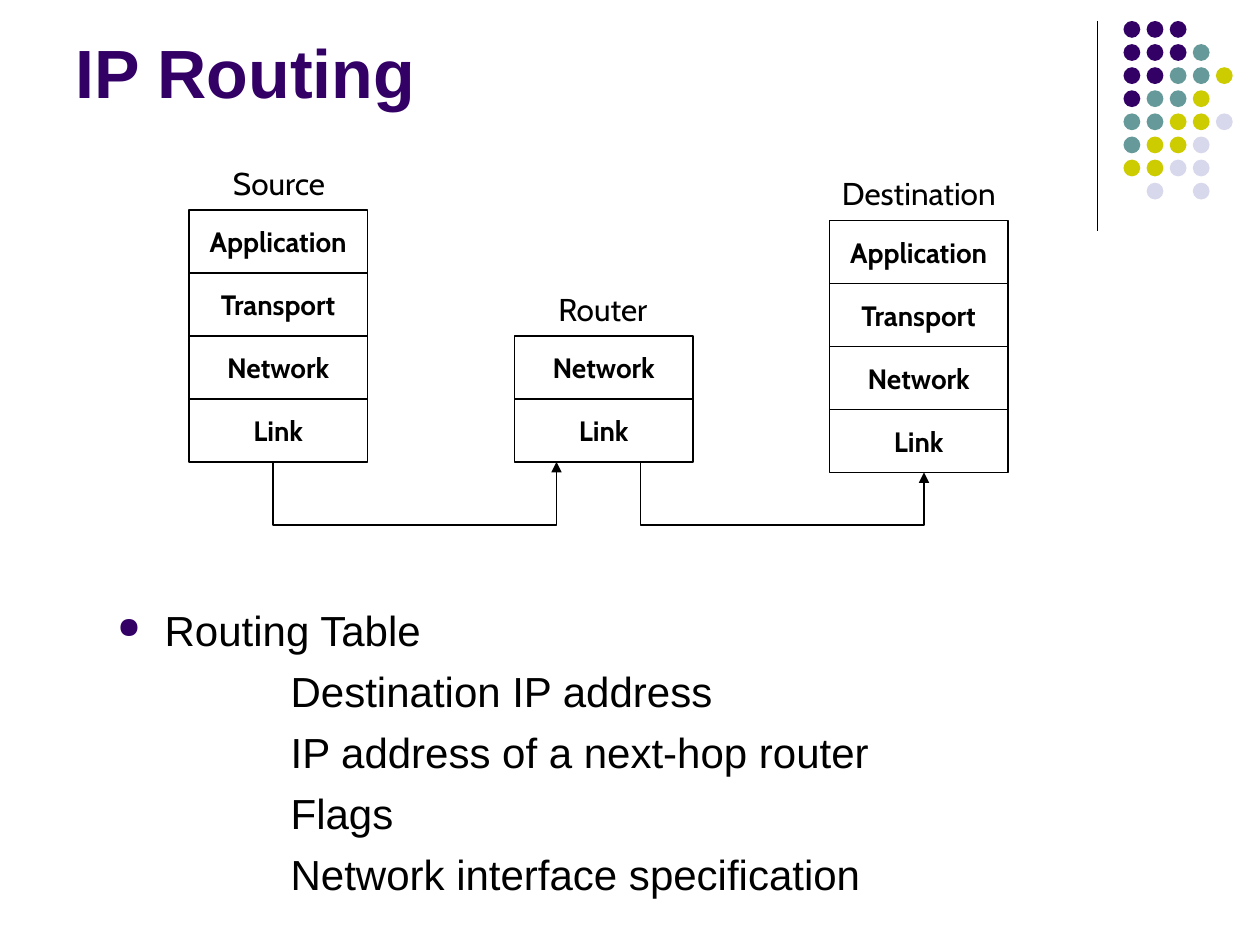
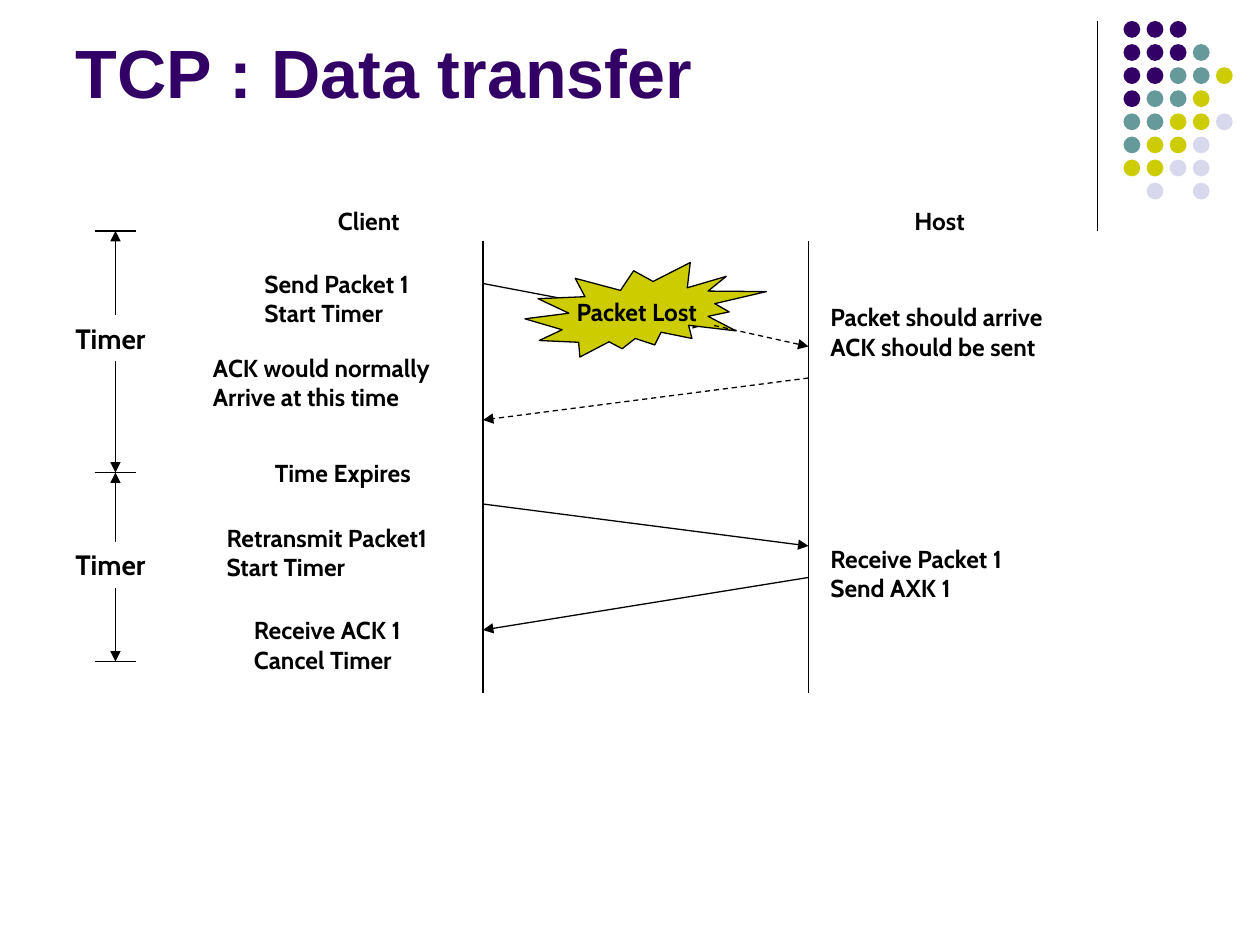
from typing import NamedTuple

from pptx import Presentation
from pptx.dml.color import RGBColor
from pptx.enum.dml import MSO_LINE
from pptx.enum.shapes import MSO_CONNECTOR, MSO_SHAPE
from pptx.enum.text import MSO_ANCHOR, PP_ALIGN
from pptx.oxml.ns import qn
from pptx.util import Pt
from lxml import etree

EMU_PER_PX = 7620  # 120 px to the inch
SLIDE_W, SLIDE_H = 1200, 900

BLACK = RGBColor(0x00, 0x00, 0x00)
WHITE = RGBColor(0xFF, 0xFF, 0xFF)
PURPLE = RGBColor(0x33, 0x00, 0x66)
TEAL = RGBColor(0x66, 0x99, 0x99)
OLIVE = RGBColor(0xCC, 0xCC, 0x00)
LAVENDER = RGBColor(0xD8, 0xD8, 0xEC)

HEADING_FONT = "Arial"
DIAGRAM_FONT = "Cabin"
LINE_WIDTH = Pt(0.75)

RECTANGLE, OVAL, BURST = MSO_SHAPE.RECTANGLE, MSO_SHAPE.OVAL, MSO_SHAPE.EXPLOSION2
STRAIGHT, DASH = MSO_CONNECTOR.STRAIGHT, MSO_LINE.DASH
LEFT, CENTER = PP_ALIGN.LEFT, PP_ALIGN.CENTER
TOP, MIDDLE = MSO_ANCHOR.TOP, MSO_ANCHOR.MIDDLE

DOT_COLOURS = {"P": PURPLE, "T": TEAL, "O": OLIVE, "L": LAVENDER}
DOT_ROWS = ("PPP", "PPPT", "PPTTO", "PTTO", "TTOOL", "TOOL", "OOLL", ".L.L")
DOT_PITCH, DOT_SIZE = 22, 16

LAYERS = ("Application", "Transport", "Network", "Link")
LAYER_W, LAYER_H = 170, 60


class Box(NamedTuple):
    left: int
    top: int
    width: int
    height: int


class Stack(NamedTuple):
    """A node of the route, with the protocol layers it runs."""
    node: str
    label: Box
    left: int
    top: int
    layers: tuple[str, ...]


class Event(NamedTuple):
    text: str
    box: Box


class Message(NamedTuple):
    start: tuple[int, int]
    end: tuple[int, int]
    dashed: bool = False


class Timer(NamedTuple):
    start: int
    end: int
    label_top: int


STACKS = (
    Stack("Source", Box(210, 150, 114, 48), 180, 200, LAYERS),
    Stack("Destination", Box(790, 160, 173, 48), 790, 210, LAYERS),
    Stack("Router", Box(520, 270, 113, 48), 490, 320, LAYERS[2:]),
)
HOPS = (
    ((260, 440), (260, 500), (530, 500), (530, 440)),
    ((610, 440), (610, 500), (880, 500), (880, 450)),
)
ROUTE_FIELDS = (
    "Destination IP address",
    "IP address of a next-hop router",
    "Flags",
    "Network interface specification",
)

CLIENT_X, HOST_X = 460, 770
EVENTS = (
    Event("Host", Box(859, 190, 78, 40)),
    Event("Client", Box(310, 190, 92, 40)),
    Event("Send Packet 1\nStart Timer", Box(240, 250, 191, 68)),
    Event("Retransmit Packet1\nStart Timer", Box(204, 492, 257, 68)),
    Event("Packet should arrive\nACK should be sent", Box(779, 282, 271, 68)),
    Event("ACK would normally\nArrive at this time", Box(191, 330, 262, 68)),
    Event("Receive Packet 1\nSend AXK 1", Box(779, 512, 223, 68)),
    Event("Time Expires", Box(250, 430, 175, 40)),
    Event("Receive ACK 1\nCancel Timer", Box(230, 580, 192, 68)),
)
LOST_PACKET = Message((CLIENT_X, 270), (670, 310))
LOST_PACKET_REST = Message((680, 310), (HOST_X, 330), dashed=True)
MESSAGES = (
    LOST_PACKET,
    Message((HOST_X, 360), (CLIENT_X, 400), dashed=True),
    Message((CLIENT_X, 480), (HOST_X, 520)),
    Message((HOST_X, 550), (CLIENT_X, 600)),
)
TIMERS = (Timer(220, 450, 300), Timer(450, 630, 516))


def px(length: int) -> int:
    return length * EMU_PER_PX


def write(shape, text: str, *, size: int, font: str = DIAGRAM_FONT,
          colour: RGBColor = BLACK, bold: bool = False, align=LEFT, anchor=TOP,
          wrap: bool = False, margin_top: int = 6, space_before: int = 0) -> None:
    """Fill a shape with text, one paragraph for each line."""
    frame = shape.text_frame
    frame.text = text
    frame.word_wrap = wrap
    frame.vertical_anchor = anchor
    frame.margin_top = px(margin_top)
    for index, paragraph in enumerate(frame.paragraphs):
        paragraph.alignment = align
        paragraph.space_before = Pt(space_before if index else 0)
        style = paragraph.runs[0].font
        style.name, style.size, style.bold = font, Pt(size), bold
        style.color.rgb = colour


def add_text(slide, box: Box, text: str, **text_format):
    textbox = slide.shapes.add_textbox(*map(px, box))
    write(textbox, text, **text_format)
    return textbox


def outline(line) -> None:
    line.color.rgb = BLACK
    line.width = LINE_WIDTH


def add_shape(slide, kind, box: Box, fill: RGBColor | None = None,
              outlined: bool = False):
    shape = slide.shapes.add_shape(kind, *map(px, box))
    shape.shadow.inherit = False
    if fill is None:
        shape.fill.background()
    else:
        shape.fill.solid()
        shape.fill.fore_color.rgb = fill
    if outlined:
        outline(shape.line)
    else:
        shape.line.fill.background()
    return shape


def add_arrowheads(shape, *ends: str) -> None:
    """Put triangles at the given ends, headEnd before tailEnd."""
    ln = shape.line._get_or_add_ln()
    for end in ends:
        etree.SubElement(ln, qn(f"a:{end}"), type="triangle")


def add_line(slide, start: tuple[int, int], end: tuple[int, int], *ends: str,
             dashed: bool = False) -> None:
    line = slide.shapes.add_connector(STRAIGHT, *map(px, start + end))
    outline(line.line)
    if dashed:
        line.line.dash_style = DASH
    add_arrowheads(line, *ends)
    etree.SubElement(line._element.spPr, qn("a:effectLst"))


def add_hop(slide, points: tuple[tuple[int, int], ...]) -> None:
    builder = slide.shapes.build_freeform(*points[0], scale=EMU_PER_PX)
    builder.add_line_segments(points[1:], close=False)
    hop = builder.convert_to_shape()
    hop.shadow.inherit = False
    hop.fill.background()
    outline(hop.line)
    add_arrowheads(hop, "tailEnd")


def add_message(slide, message: Message) -> None:
    add_line(slide, message.start, message.end, "tailEnd", dashed=message.dashed)


def add_stack(slide, stack: Stack) -> None:
    for row, layer in enumerate(stack.layers):
        box = Box(stack.left, stack.top + row * LAYER_H, LAYER_W, LAYER_H)
        write(add_shape(slide, RECTANGLE, box, outlined=True), layer,
              size=16, bold=True, align=CENTER, anchor=MIDDLE)
    add_text(slide, stack.label, stack.node, size=18)


def add_timer(slide, timer: Timer) -> None:
    for y in (timer.start, timer.end):
        add_line(slide, (90, y), (130, y))
    add_line(slide, (110, timer.start), (110, timer.end), "headEnd", "tailEnd")
    label = add_shape(slide, RECTANGLE, Box(60, timer.label_top, 102, 44), WHITE)
    write(label, "Timer", size=16, bold=True)


def add_route_table(slide) -> None:
    """List the table's fields, indented below one bulleted heading."""
    body = add_text(slide, Box(100, 510, 1020, 350),
                    "\n".join(("Routing Table",) + ROUTE_FIELDS), size=24,
                    font=HEADING_FONT, wrap=True, margin_top=66, space_before=6)
    heading, *fields = (p._p.get_or_add_pPr() for p in body.text_frame.paragraphs)
    heading.set("marL", str(px(45)))
    heading.set("indent", str(px(-45)))
    colour = etree.SubElement(heading, qn("a:buClr"))
    etree.SubElement(colour, qn("a:srgbClr"), val=str(PURPLE))
    etree.SubElement(heading, qn("a:buSzPct"), val="70000")
    etree.SubElement(heading, qn("a:buChar"), char="●")
    for field in fields:
        field.set("marL", str(px(165)))


def new_slide(prs, title: str):
    """Add a slide with the shared rule, dot pattern and title."""
    slide = prs.slides.add_slide(prs.slide_layouts[6])
    add_line(slide, (1045, 20), (1045, 220))
    for row, codes in enumerate(DOT_ROWS):
        for column, code in enumerate(codes):
            if code in DOT_COLOURS:
                dot = Box(1070 + column * DOT_PITCH, 20 + row * DOT_PITCH,
                          DOT_SIZE, DOT_SIZE)
                add_shape(slide, OVAL, dot, DOT_COLOURS[code])
    add_text(slide, Box(60, 16, 990, 170), title, size=39, font=HEADING_FONT,
             colour=PURPLE, bold=True, wrap=True, margin_top=13)
    return slide


def build_ip_routing(prs) -> None:
    slide = new_slide(prs, "IP Routing")
    add_route_table(slide)
    for stack in STACKS:
        add_stack(slide, stack)
    for hop in HOPS:
        add_hop(slide, hop)


def build_data_transfer(prs) -> None:
    slide = new_slide(prs, "TCP : Data transfer")
    for x in (CLIENT_X, HOST_X):
        add_line(slide, (x, 230), (x, 660))
    for event in EVENTS:
        add_text(slide, event.box, event.text, size=14, bold=True)
    for message in MESSAGES:
        add_message(slide, message)
    loss = add_shape(slide, BURST, Box(500, 250, 230, 90), OLIVE, outlined=True)
    write(loss, "Packet Lost", size=14, bold=True, align=CENTER, anchor=MIDDLE)
    add_message(slide, LOST_PACKET_REST)
    for timer in TIMERS:
        add_timer(slide, timer)


def main() -> None:
    prs = Presentation()
    prs.slide_width, prs.slide_height = px(SLIDE_W), px(SLIDE_H)
    build_ip_routing(prs)
    build_data_transfer(prs)
    prs.save("out.pptx")


if __name__ == "__main__":
    main()
